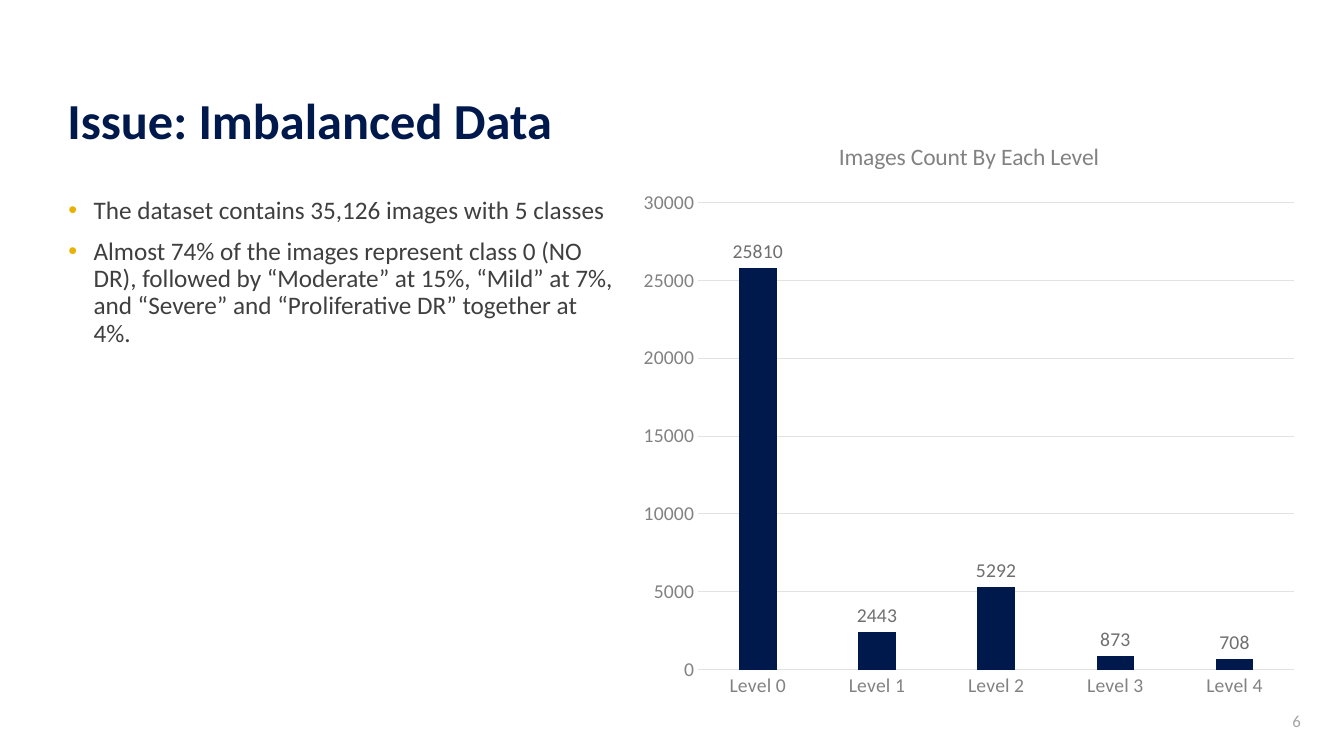
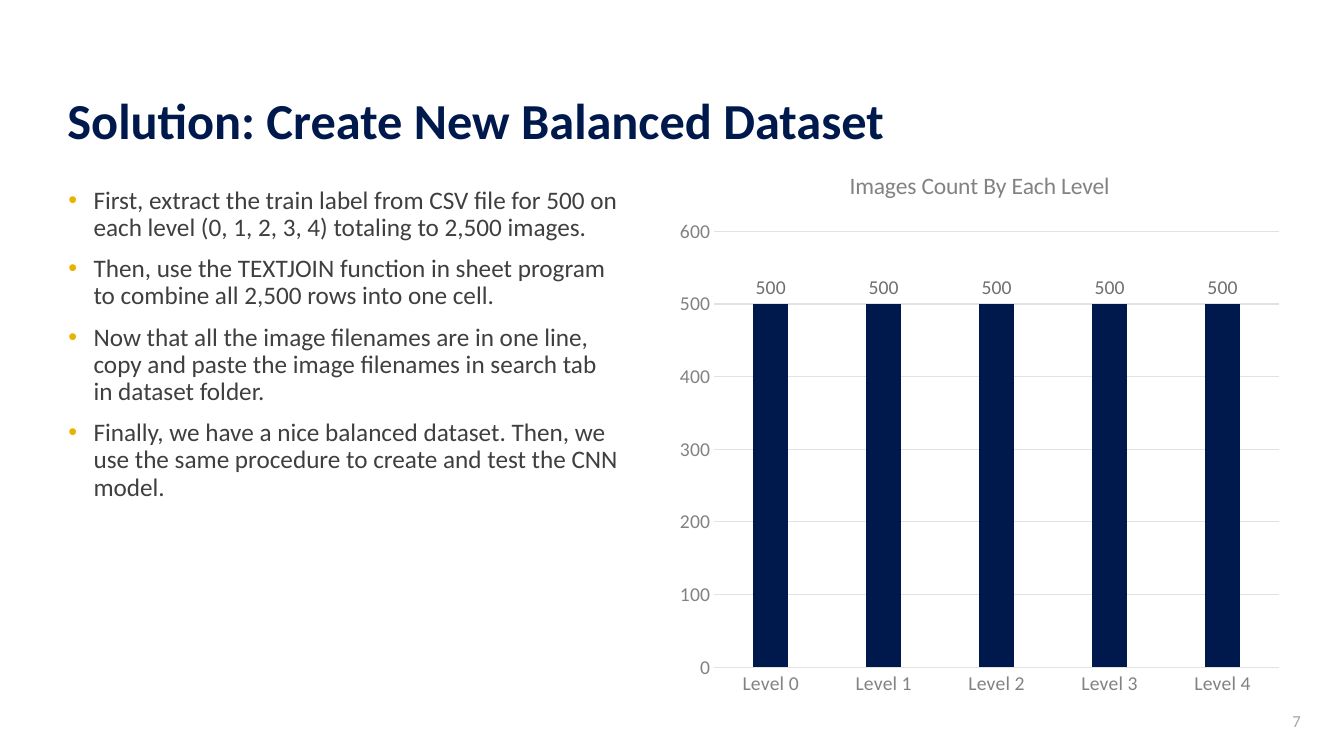
import dataclasses

import lxml.etree
import pptx
import pptx.chart.data
import pptx.dml.color
import pptx.enum.chart
import pptx.enum.text
import pptx.oxml.ns
import pptx.util

EMU_PER_PX = 9144  # 100 px to the inch


@dataclasses.dataclass(frozen=True)
class Theme:
    font: str = "Calibri"
    navy: str = "00194C"
    gold: str = "EAB200"
    body: str = "3F3F3F"
    axis: str = "828282"
    label: str = "6F6F6F"
    grid: str = "E2E2E2"
    number: str = "A5A5A5"
    title_size: float = 36
    body_size: float = 18
    chart_title_size: float = 16.8
    chart_size: float = 14
    number_size: float = 12


@dataclasses.dataclass(frozen=True)
class Box:
    left: int
    top: int
    width: int
    height: int

    def emu(self) -> tuple[int, ...]:
        return tuple(px(value) for value in dataclasses.astuple(self))


@dataclasses.dataclass(frozen=True)
class SlideContent:
    number: int
    title: str
    bullets: tuple[str, ...]
    bullet_box: Box
    counts: tuple[int, ...]
    chart_box: Box
    axis_maximum: int
    axis_step: int


THEME = Theme()
SLIDE_WIDTH, SLIDE_HEIGHT = 1333, 750
TITLE_BOX = Box(57, 23, 911, 126)
NUMBER_BOX = Box(1219, 695, 81, 40)
BULLET_INDENT = 25
CHART_TITLE = "Images Count By Each Level"
LEVELS = tuple(f"Level {level}" for level in range(5))

SLIDES = (
    SlideContent(
        number=6,
        title="Issue: Imbalanced Data",
        bullets=(
            "The dataset contains 35,126 images with 5 classes",
            "Almost 74% of the images represent class 0 (NO DR), followed by “Moderate” at 15%, "
            "“Mild” at 7%, and “Severe” and “Proliferative DR” together at 4%.",
        ),
        bullet_box=Box(58, 191, 567, 268),
        counts=(25810, 2443, 5292, 873, 708),
        chart_box=Box(625, 118, 672, 586),
        axis_maximum=30000,
        axis_step=5000,
    ),
    SlideContent(
        number=7,
        title="Solution: Create New Balanced Dataset",
        bullets=(
            "First, extract the train label from CSV file for 500 on each level (0, 1, 2, 3, 4) "
            "totaling to 2,500 images.",
            "Then, use the TEXTJOIN function in sheet program to combine all 2,500 rows into one cell.",
            "Now that all the image filenames are in one line, copy and paste the image filenames "
            "in search tab in dataset folder.",
            "Finally, we have a nice balanced dataset. Then, we use the same procedure to create "
            "and test the CNN model.",
        ),
        bullet_box=Box(58, 181, 567, 495),
        counts=(500,) * len(LEVELS),
        chart_box=Box(662, 148, 619, 553),
        axis_maximum=600,
        axis_step=100,
    ),
)


def px(value: int) -> int:
    return value * EMU_PER_PX


def color(value: str) -> pptx.dml.color.RGBColor:
    return pptx.dml.color.RGBColor.from_string(value)


def style_font(font, size: float, value: str, bold: bool = False) -> None:
    font.name = THEME.font
    font.size = pptx.util.Pt(size)
    font.bold = bold
    font.color.rgb = color(value)


def add_text_frame(slide, box: Box, anchor):
    frame = slide.shapes.add_textbox(*box.emu()).text_frame
    frame.word_wrap = True
    frame.vertical_anchor = anchor
    return frame


def add_run(paragraph, text: str, size: float, value: str, bold: bool = False) -> None:
    run = paragraph.add_run()
    run.text = text
    style_font(run.font, size, value, bold)


def add_bullet(paragraph) -> None:
    properties = paragraph._p.get_or_add_pPr()
    properties.set("marL", str(px(BULLET_INDENT)))
    properties.set("indent", str(-px(BULLET_INDENT)))
    qualify = pptx.oxml.ns.qn
    bullet_color = lxml.etree.SubElement(properties, qualify("a:buClr"))
    lxml.etree.SubElement(bullet_color, qualify("a:srgbClr")).set("val", THEME.gold)
    lxml.etree.SubElement(properties, qualify("a:buFont")).set("typeface", "Arial")
    lxml.etree.SubElement(properties, qualify("a:buChar")).set("char", "•")


def add_title(slide, title: str) -> None:
    frame = add_text_frame(slide, TITLE_BOX, pptx.enum.text.MSO_ANCHOR.BOTTOM)
    frame.margin_bottom = 0
    paragraph = frame.paragraphs[0]
    paragraph.line_spacing = 0.9
    add_run(paragraph, title, THEME.title_size, THEME.navy, bold=True)


def add_page_number(slide, number: int) -> None:
    frame = add_text_frame(slide, NUMBER_BOX, pptx.enum.text.MSO_ANCHOR.MIDDLE)
    paragraph = frame.paragraphs[0]
    paragraph.alignment = pptx.enum.text.PP_ALIGN.RIGHT
    add_run(paragraph, str(number), THEME.number_size, THEME.number)


def add_bullets(slide, box: Box, bullets: tuple[str, ...]) -> None:
    frame = add_text_frame(slide, box, pptx.enum.text.MSO_ANCHOR.TOP)
    for index, text in enumerate(bullets):
        paragraph = frame.add_paragraph() if index else frame.paragraphs[0]
        paragraph.line_spacing = 0.9
        paragraph.space_before = pptx.util.Pt(10)
        add_bullet(paragraph)
        add_run(paragraph, text, THEME.body_size, THEME.body)


def style_line(line) -> None:
    line.color.rgb = color(THEME.grid)
    line.width = pptx.util.Pt(0.75)


def add_count_chart(slide, content: SlideContent) -> None:
    data = pptx.chart.data.CategoryChartData()
    data.categories = LEVELS
    data.add_series(CHART_TITLE, content.counts)
    chart = slide.shapes.add_chart(
        pptx.enum.chart.XL_CHART_TYPE.COLUMN_CLUSTERED, *content.chart_box.emu(), data
    ).chart
    style_font(chart.font, THEME.chart_size, THEME.body)
    chart.has_legend = False

    # Chart title
    chart.has_title = True
    chart.chart_title.include_in_layout = False
    paragraph = chart.chart_title.text_frame.paragraphs[0]
    add_run(paragraph, CHART_TITLE, THEME.chart_title_size, THEME.axis)

    # Axes and gridlines
    for axis in (chart.category_axis, chart.value_axis):
        axis.major_tick_mark = pptx.enum.chart.XL_TICK_MARK.NONE
        axis.minor_tick_mark = pptx.enum.chart.XL_TICK_MARK.NONE
        style_font(axis.tick_labels.font, THEME.chart_size, THEME.axis)
    style_line(chart.category_axis.format.line)
    value_axis = chart.value_axis
    value_axis.format.line.fill.background()
    value_axis.minimum_scale = 0
    value_axis.maximum_scale = content.axis_maximum
    value_axis.major_unit = content.axis_step
    style_line(value_axis.major_gridlines.format.line)

    # Columns and their labels
    plot = chart.plots[0]
    plot.vary_by_categories = False
    plot.gap_width = 219
    plot.overlap = -27
    series = plot.series[0]
    series.format.fill.solid()
    series.format.fill.fore_color.rgb = color(THEME.navy)
    labels = series.data_labels
    labels.show_value = True
    labels.position = pptx.enum.chart.XL_LABEL_POSITION.OUTSIDE_END
    style_font(labels.font, THEME.chart_size, THEME.label)


def main() -> None:
    presentation = pptx.Presentation()
    presentation.slide_width = px(SLIDE_WIDTH)
    presentation.slide_height = px(SLIDE_HEIGHT)
    blank_layout = presentation.slide_layouts[6]
    for content in SLIDES:
        slide = presentation.slides.add_slide(blank_layout)
        add_page_number(slide, content.number)
        add_title(slide, content.title)
        add_bullets(slide, content.bullet_box, content.bullets)
        add_count_chart(slide, content)
    presentation.save("out.pptx")


if __name__ == "__main__":
    main()
